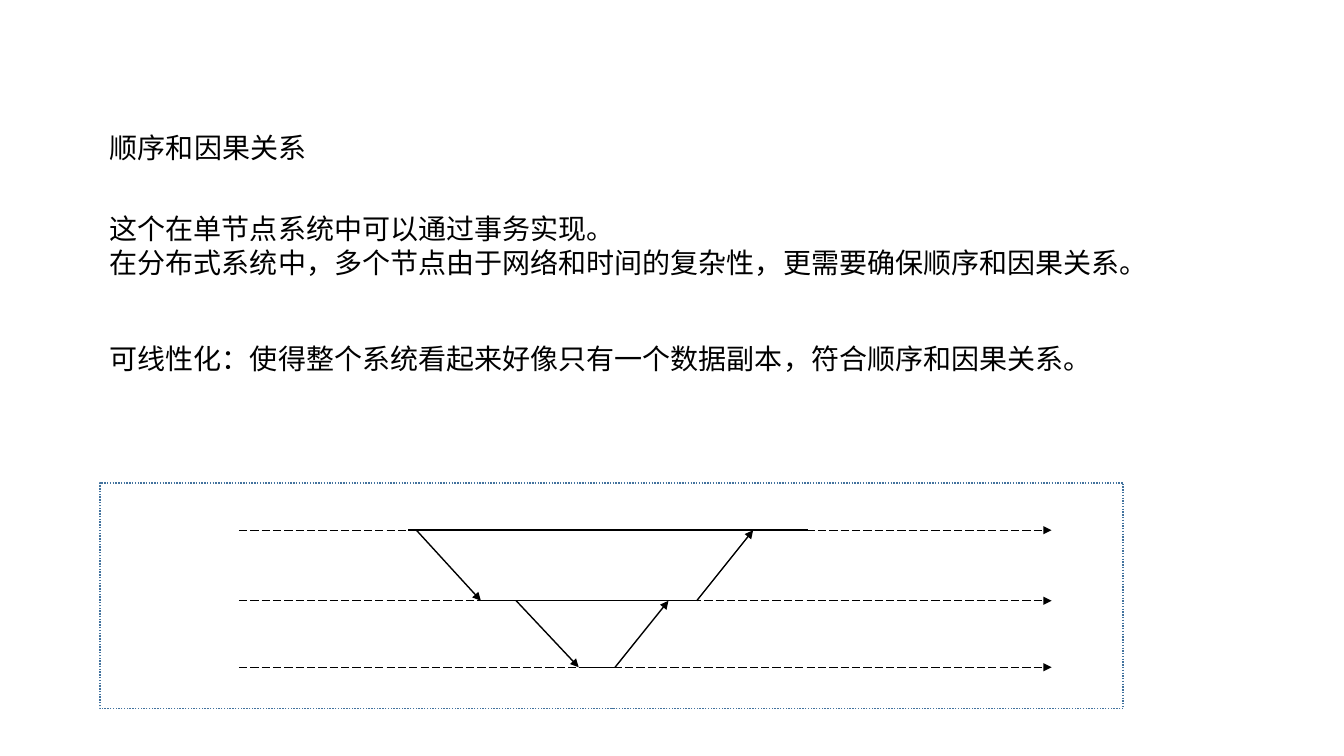
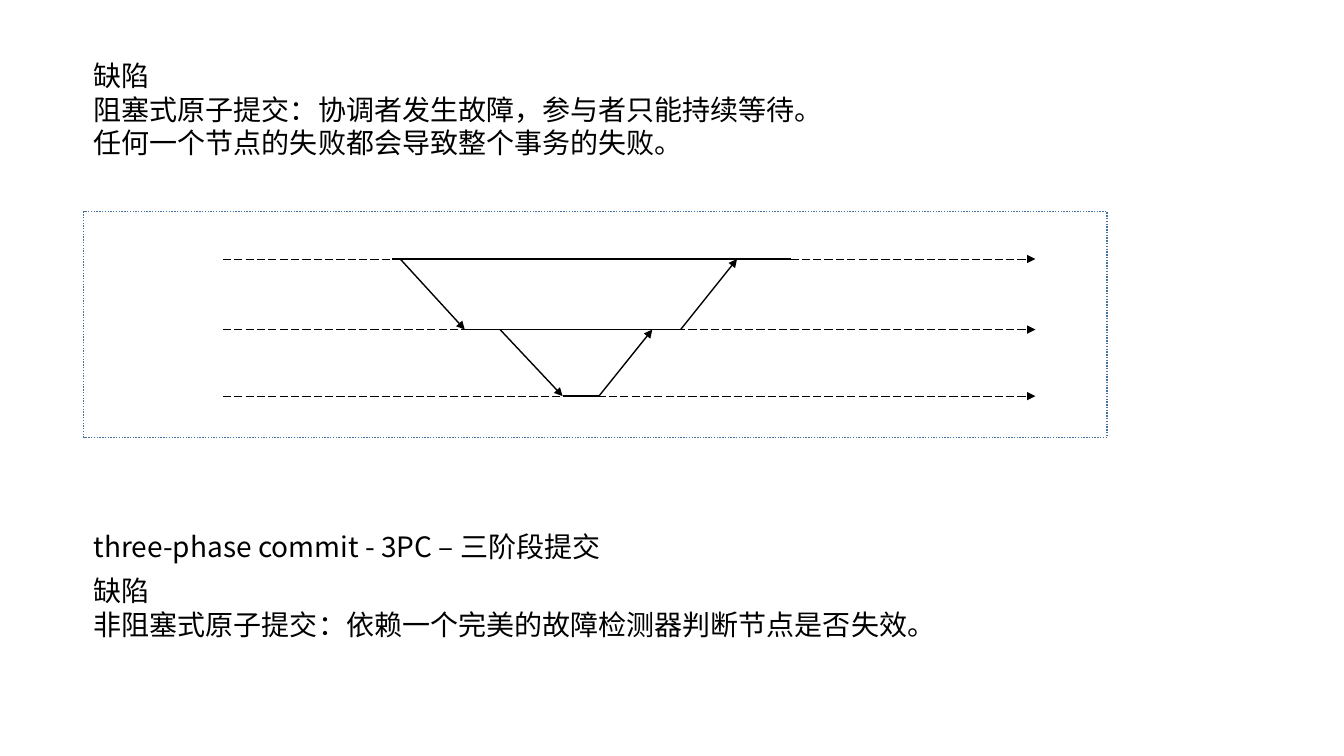
"""Build two slides on ordering, causality and atomic commit."""
import dataclasses

import lxml.etree
import pptx
import pptx.dml.color
import pptx.enum.dml
import pptx.enum.shapes
import pptx.enum.text
import pptx.oxml.ns
import pptx.util

Inches = pptx.util.Inches
Pt = pptx.util.Pt
Color = pptx.dml.color.RGBColor
Dash = pptx.enum.dml.MSO_LINE
qn = pptx.oxml.ns.qn


@dataclasses.dataclass(frozen=True)
class Theme:
    ink: Color = Color(0x00, 0x00, 0x00)
    frame: Color = Color(0x43, 0x73, 0x9E)
    font: str = "Noto Sans CJK SC"
    size: Pt = Pt(20)
    thin: Pt = Pt(0.75)
    line: Pt = Pt(1)


theme = Theme()


def write(box, left, top, height, lines):
    box.left, box.top = Inches(left), Inches(top)
    box.width, box.height = Inches(11.29), Inches(height)
    frame = box.text_frame
    frame.text = "\n".join(lines)
    frame.word_wrap = True
    frame.auto_size = pptx.enum.text.MSO_AUTO_SIZE.NONE
    frame.vertical_anchor = pptx.enum.text.MSO_ANCHOR.TOP
    for para in frame.paragraphs:
        para.alignment = pptx.enum.text.PP_ALIGN.LEFT
        para.font.name = theme.font
        para.font.size = theme.size
        para.font.color.rgb = theme.ink
        props = para._p.pPr.find(qn("a:defRPr"))
        lxml.etree.SubElement(props, qn("a:ea"), typeface=theme.font)


def draw(slide, start, end, width, dash=None, arrow=False):
    link = slide.shapes.add_connector(
        pptx.enum.shapes.MSO_CONNECTOR.STRAIGHT,
        *(Inches(value) for value in start + end))
    link.line.color.rgb = theme.ink
    link.line.width = width
    if dash:
        link.line.dash_style = dash
    if arrow:
        lxml.etree.SubElement(
            link.line._get_or_add_ln(), qn("a:tailEnd"), type="triangle")
    lxml.etree.SubElement(link._element.spPr, qn("a:effectLst"))


rows = (0.47, 1.17, 1.83)
bars = ((3.06, 7.02), (3.78, 5.92), (4.75, 5.11))
calls = (
    (3.14, 0, 3.78, 1),
    (5.92, 1, 6.48, 0),
    (4.13, 1, 4.75, 2),
    (5.11, 2, 5.64, 1),
)
pages = (
    {
        "left": 0.99, "chart": 4.79,
        "title": (1.24, 0.44, ["顺序和因果关系"]),
        "texts": (
            (2.05, 0.77, [
                "这个在单节点系统中可以通过事务实现。",
                "在分布式系统中，多个节点由于网络和时间的复杂性，更需要确保顺序和因果关系。"]),
            (3.34, 0.44, [
                "可线性化：使得整个系统看起来好像只有一个数据副本，符合顺序和因果关系。"]),
        ),
    },
    {
        "left": 0.83, "chart": 2.1,
        "title": None,
        "texts": (
            (0.53, 1.11, [
                "缺陷",
                "阻塞式原子提交：协调者发生故障，参与者只能持续等待。",
                "任何一个节点的失败都会导致整个事务的失败。"]),
            (5.2, 0.44, ["three-phase commit - 3PC – 三阶段提交"]),
            (5.64, 0.77, [
                "缺陷",
                "非阻塞式原子提交：依赖一个完美的故障检测器判断节点是否失效。"]),
        ),
    },
)

deck = pptx.Presentation()
deck.slide_width, deck.slide_height = Inches(13.33), Inches(7.5)

for page in pages:
    left, top = page["left"], page["chart"]
    layout = deck.slide_layouts[5 if page["title"] else 6]
    slide = deck.slides.add_slide(layout)
    if page["title"]:
        write(slide.shapes.title, left, *page["title"])
    for text in page["texts"]:
        write(slide.shapes.add_textbox(0, 0, 0, 0), left, *text)

    panel = slide.shapes.add_shape(
        pptx.enum.shapes.MSO_SHAPE.RECTANGLE,
        Inches(left), Inches(top), Inches(10.15), Inches(2.24))
    panel.shadow.inherit = False
    panel.fill.background()
    panel.line.color.rgb = theme.frame
    panel.line.width = theme.line
    panel.line.dash_style = Dash.ROUND_DOT

    for row in rows:
        draw(slide, (left + 1.38, top + row), (left + 9.44, top + row),
             theme.thin, Dash.LONG_DASH, True)
    for row, (begin, end) in zip(rows, bars):
        draw(slide, (left + begin, top + row), (left + end, top + row),
             theme.line)
    for begin, source, end, target in calls:
        draw(slide, (left + begin, top + rows[source]),
             (left + end, top + rows[target]), theme.line, arrow=True)

deck.save("out.pptx")
